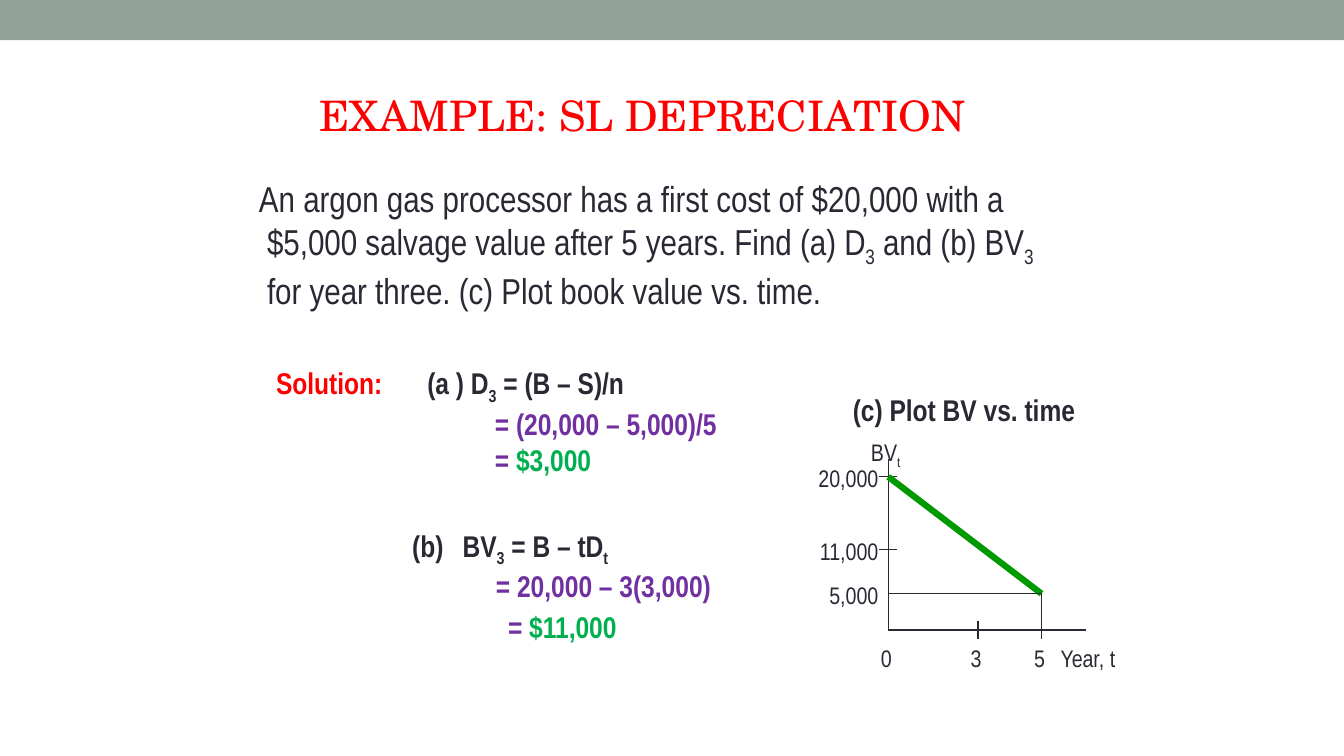
from lxml.etree import SubElement
from pptx import Presentation
from pptx.dml.color import RGBColor
from pptx.enum.shapes import MSO_CONNECTOR as Connector, MSO_SHAPE as Shape
from pptx.enum.text import MSO_ANCHOR as Anchor, PP_ALIGN as Align
from pptx.oxml.ns import qn
from pptx.util import Inches, Pt

COLORS = {
    "band": "93A299",
    "ink": "292934",
    "red": "FF0000",
    "purple": "7030A0",
    "green": "00B050",
    "curve": "009900",
}
NARROW = "Arial Narrow"
TITLE = {"name": "TeX Gyre Schola", "size": Pt(30)}
BODY = {"name": NARROW, "size": Pt(25.7)}
WORK = {"name": NARROW, "size": Pt(21.4), "bold": True}
LABEL = {"name": NARROW, "size": Pt(17.1)}


def rgb(name):
    return RGBColor.from_string(COLORS[name])


def add_span(para, text, style, color="ink", subscript=False):
    span = para.add_run()
    span.text = text
    for key, value in style.items():
        setattr(span.font, key, value)
    span.font.color.rgb = rgb(color)
    if subscript:
        span.font._element.set("baseline", "-25000")


def add_text(page, box, lines, style, align=Align.LEFT, anchor=Anchor.TOP):
    frame = page.shapes.add_textbox(*map(Inches, box)).text_frame
    frame.word_wrap = True
    frame.vertical_anchor = anchor
    for index, (spans, layout) in enumerate(lines):
        para = frame.add_paragraph() if index else frame.paragraphs[0]
        properties = para._p.get_or_add_pPr()
        properties.set("marL", str(Inches(layout.get("indent", 0))))
        properties.set("indent", "0")
        if "tab" in layout:
            tabs = SubElement(properties, qn("a:tabLst"))
            SubElement(tabs, qn("a:tab"), pos=str(Inches(layout["tab"])), algn="l")
        para.alignment = align
        para.space_before = Pt(layout.get("before", 0))
        for span in spans:
            add_span(para, span[0], style, *span[1:])


def add_line(page, start, end, color="ink", width=0.75):
    line = page.shapes.add_connector(Connector.STRAIGHT, *map(Inches, start + end))
    line.line.color.rgb = rgb(color)
    line.line.width = Pt(width)
    SubElement(line._element.spPr, qn("a:effectLst"))


def add_band(page, box):
    band = page.shapes.add_shape(Shape.RECTANGLE, *map(Inches, box))
    band.shadow.inherit = False
    band.fill.solid()
    band.fill.fore_color.rgb = rgb("band")
    band.line.fill.background()


def add_title(page, box):
    lines = [([("EXAMPLE: SL DEPRECIATION", "red")], {})]
    add_text(page, box, lines, TITLE, anchor=Anchor.MIDDLE)


def add_problem(page, box):
    lines = [
        ([("An argon gas processor has a first cost of $20,000 with a",)], {}),
        ([("$5,000 salvage value after 5 years. Find (a) D",), ("3", "ink", True),
          (" and (b) BV",), ("3", "ink", True)], {"indent": 0.08}),
        ([("for year three. (c) Plot book value vs. time.",)], {"indent": 0.08}),
    ]
    add_text(page, box, lines, BODY)


def add_solution(page, box):
    left, top, width, height = box
    charge = [
        ([("Solution:", "red"), ("\t(a ) D",), ("3", "ink", True),
          (" = (B – S)/n",)], {"tab": 1.37}),
        ([("= (20,000 – 5,000)/5", "purple")], {"indent": 2.17}),
        ([("= ", "purple"), ("$3,000", "green")], {"indent": 2.17}),
    ]
    book_value = [
        ([("(b)\tBV",), ("3", "ink", True), (" = B – tD",), ("t", "ink", True)],
         {"tab": 0.45}),
        ([("= 20,000 – 3(3,000)", "purple")], {"indent": 0.83}),
        ([("= ", "purple"), ("$11,000", "green")], {"indent": 0.95, "before": 3}),
    ]
    part_height = 1.18
    add_text(page, (left, top, width, part_height), charge, WORK)
    add_text(page, (left + 1.35, top + height - part_height, width - 1.35, part_height),
             book_value, WORK)


def add_plot(page, box):
    left, top, width, height = box
    axis_x, axis_y = left + 0.45, top + 2.41
    years = {"0": axis_x, "3": axis_x + 0.89, "5": axis_x + 1.52}
    values = {"20,000": top + 0.89, "11,000": top + 1.61, "5,000": top + 2.05}
    first, last = (axis_x, values["20,000"]), (years["5"], values["5,000"])
    tick, label_height = 0.09, 0.39

    add_text(page, box, [([("(c) Plot BV vs. time",)], {})], WORK)
    add_line(page, (axis_x, top + 0.71), (axis_x, axis_y))
    add_line(page, (axis_x, axis_y), (axis_x + 1.96, axis_y))
    for value in ("20,000", "11,000"):
        add_line(page, (axis_x - tick, values[value]), (axis_x + tick, values[value]))
    for year in ("3", "5"):
        add_line(page, (years[year], axis_y - tick), (years[year], axis_y + tick))
    add_line(page, first, last, "curve", 4.5)
    add_line(page, last, (last[0], axis_y))
    add_line(page, last, (axis_x, last[1]))

    for value, y in values.items():
        add_text(page, (axis_x - 1, y - 0.18, 1, label_height),
                 [([(value,)], {})], LABEL, Align.RIGHT)
    for year, x in years.items():
        add_text(page, (x - 0.22, axis_y + tick, 0.4, label_height),
                 [([(year,)], {})], LABEL, Align.CENTER)
    add_text(page, (years["5"] + tick, axis_y + tick, 0.85, label_height),
             [([("Year, t",)], {})], LABEL)
    add_text(page, (left + 0.18, top + 0.45, 0.65, label_height),
             [([("BV",), ("t", "ink", True)], {})], LABEL)


def main():
    deck = Presentation()
    deck.slide_width, deck.slide_height = Inches(13.33), Inches(7.5)
    page = deck.slides.add_slide(deck.slide_layouts[6])
    add_band(page, (0, 0, 13.33, 0.4))
    add_title(page, (3.07, 0.51, 7.62, 1.25))
    add_problem(page, (2.47, 1.7, 8.21, 1.4))
    add_solution(page, (2.64, 3.57, 4.7, 2.79))
    add_plot(page, (8.36, 3.84, 2.5, 2.63))
    deck.save("out.pptx")


if __name__ == "__main__":
    main()
